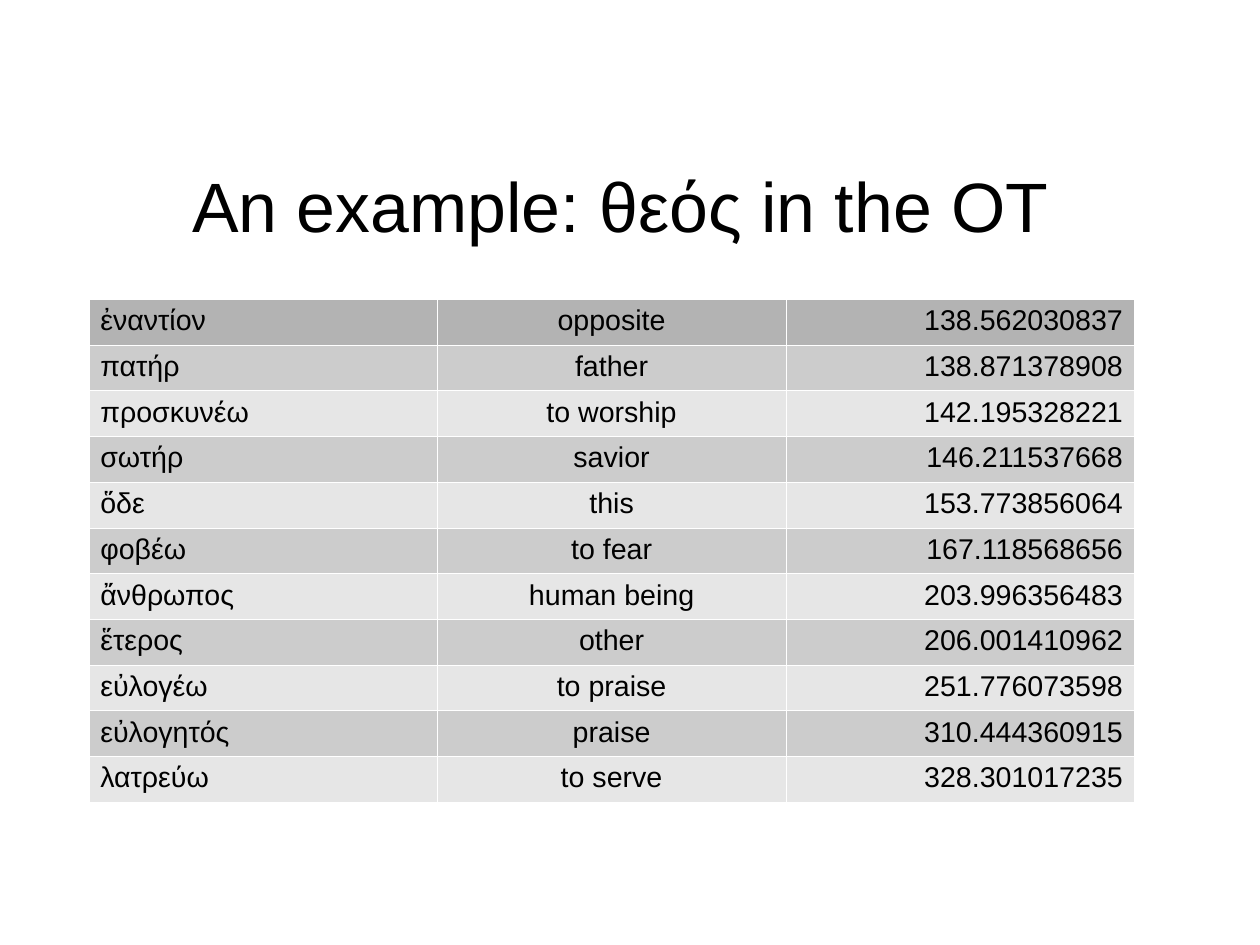
from typing import NamedTuple

from lxml.etree import SubElement
from pptx import Presentation
from pptx.dml.color import RGBColor
from pptx.enum.text import MSO_ANCHOR, MSO_AUTO_SIZE, PP_ALIGN
from pptx.oxml.ns import qn
from pptx.slide import Slide
from pptx.table import _Cell
from pptx.text.text import _Paragraph
from pptx.util import Pt

FACE = "Arial"
COLORS = {"text": "000000", "line": "FFFFFF",
          "head": "B3B3B3", "dark": "CCCCCC", "light": "E6E6E6"}
ALIGNS = (PP_ALIGN.LEFT, PP_ALIGN.CENTER, PP_ALIGN.RIGHT)
WIDTH, HEIGHT = 219.5, 28.8


class Entry(NamedTuple):
    greek: str
    gloss: str
    score: str


ENTRIES = [
    Entry("ἐναντίον", "opposite", "138.562030837"),
    Entry("πατήρ", "father", "138.871378908"),
    Entry("προσκυνέω", "to worship", "142.195328221"),
    Entry("σωτήρ", "savior", "146.211537668"),
    Entry("ὅδε", "this", "153.773856064"),
    Entry("φοβέω", "to fear", "167.118568656"),
    Entry("ἄνθρωπος", "human being", "203.996356483"),
    Entry("ἕτερος", "other", "206.001410962"),
    Entry("εὐλογέω", "to praise", "251.776073598"),
    Entry("εὐλογητός", "praise", "310.444360915"),
    Entry("λατρεύω", "to serve", "328.301017235"),
]


def style(para: _Paragraph, size: float, align: PP_ALIGN) -> None:
    para.alignment = align
    para.font.name = FACE
    para.font.size = Pt(size)
    para.font.bold = False
    para.font.color.rgb = RGBColor.from_string(COLORS["text"])


def border(cell: _Cell) -> None:
    """Draw a hairline on all four sides; call before filling the cell."""
    props = cell._tc.get_or_add_tcPr()
    for side in ("lnL", "lnR", "lnT", "lnB"):
        line = SubElement(props, qn(f"a:{side}"), w=str(Pt(0.06)))
        fill = SubElement(line, qn("a:solidFill"))
        SubElement(fill, qn("a:srgbClr"), val=COLORS["line"])


def shade(row: int) -> str:
    if row == 0:
        return COLORS["head"]
    return COLORS["dark" if row % 2 else "light"]


def add_title(slide: Slide, text: str) -> None:
    title = slide.shapes.title
    title.left, title.top = Pt(39.7), Pt(79.2)
    title.width, title.height = Pt(714.3), Pt(99.36)
    frame = title.text_frame
    frame.text = text
    frame.auto_size = MSO_AUTO_SIZE.NONE
    frame.vertical_anchor = MSO_ANCHOR.MIDDLE
    frame.margin_left = frame.margin_right = Pt(0)
    frame.margin_top = frame.margin_bottom = Pt(0)
    style(frame.paragraphs[0], 44, PP_ALIGN.CENTER)


def add_words(slide: Slide, entries: list[Entry]) -> None:
    count, cols = len(entries), len(ALIGNS)
    table = slide.shapes.add_table(
        count, cols, Pt(56), Pt(188.4),
        Pt(WIDTH * cols), Pt(HEIGHT * count)).table
    table.first_row = table.horz_banding = False
    for col in table.columns:
        col.width = Pt(WIDTH)
    for r, entry in enumerate(entries):
        table.rows[r].height = Pt(HEIGHT)
        for c, (text, align) in enumerate(zip(entry, ALIGNS)):
            cell = table.cell(r, c)
            cell.text = text
            cell.margin_left = cell.margin_right = Pt(7.2)
            cell.margin_top = cell.margin_bottom = Pt(3.6)
            border(cell)
            cell.fill.solid()
            cell.fill.fore_color.rgb = RGBColor.from_string(shade(r))
            style(cell.text_frame.paragraphs[0], 18, align)


def main() -> None:
    deck = Presentation()
    deck.slide_width, deck.slide_height = Pt(793.7), Pt(595.28)
    slide = deck.slides.add_slide(deck.slide_layouts.get_by_name("Title Only"))
    add_title(slide, "An example: θεός in the OT ")
    add_words(slide, ENTRIES)
    deck.save("out.pptx")


if __name__ == "__main__":
    main()
